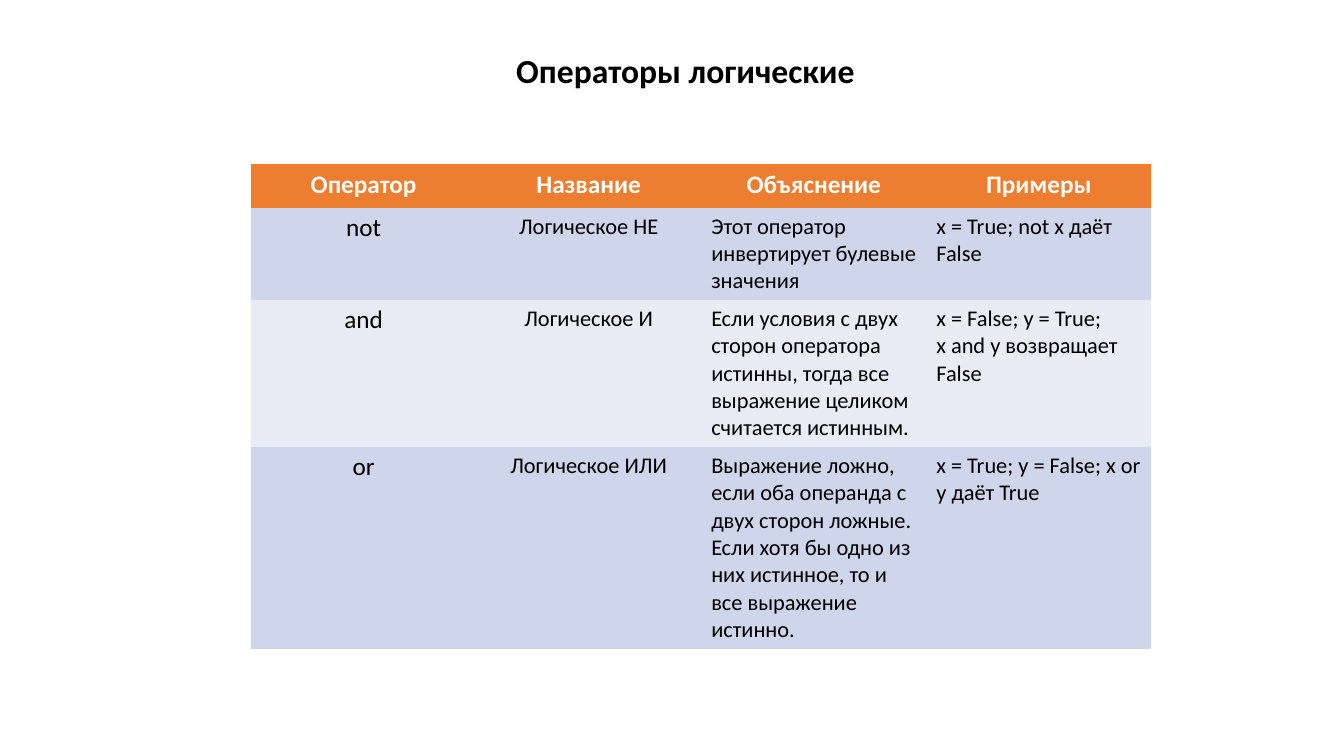
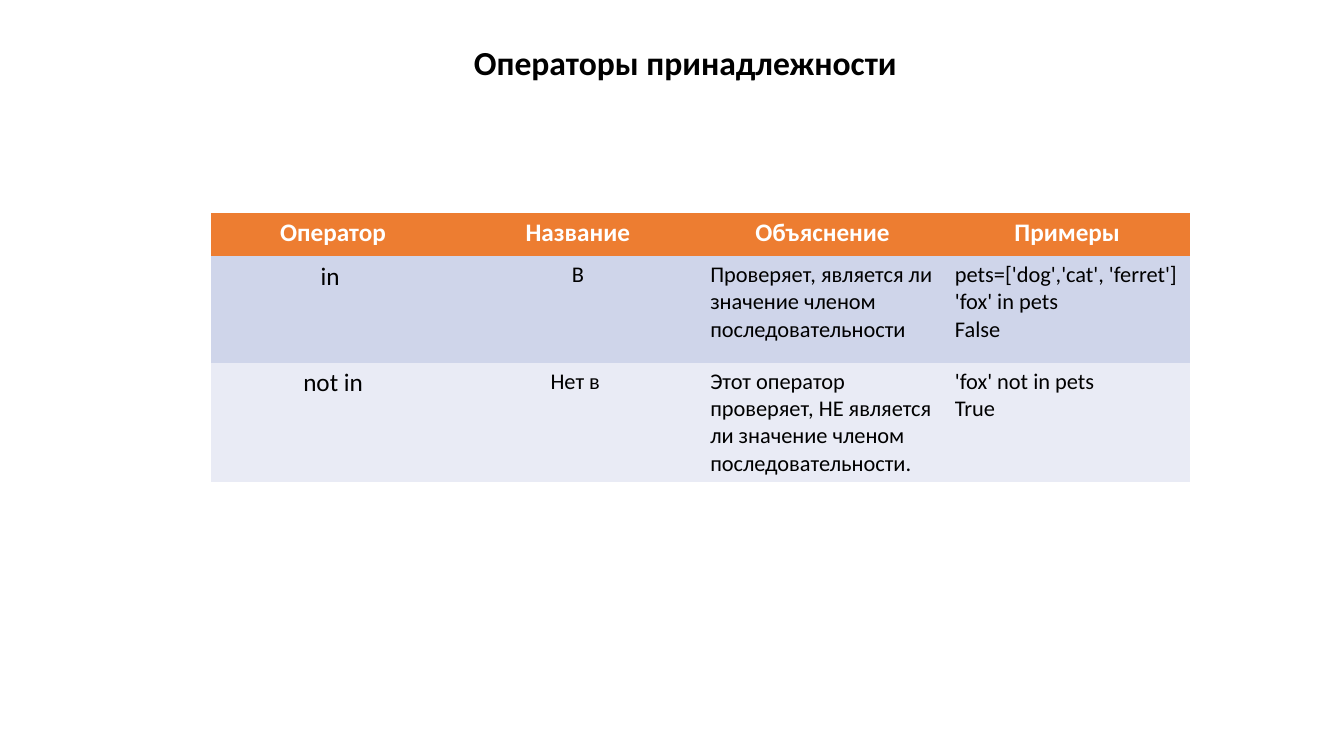
"""Builds two slides with tables of logical and membership operators."""
import pptx
import pptx.dml.color
import pptx.enum.text
import pptx.oxml.ns
import pptx.util

BLACK = pptx.dml.color.RGBColor(0x00, 0x00, 0x00)
WHITE = pptx.dml.color.RGBColor(0xFF, 0xFF, 0xFF)
ORANGE = pptx.dml.color.RGBColor(0xED, 0x7D, 0x31)
BANDS = (pptx.dml.color.RGBColor(0xCF, 0xD5, 0xEA),
         pptx.dml.color.RGBColor(0xE9, 0xEB, 0xF5))
FONT = "Calibri"
PLAIN = "{2D5ABB26-0587-4C30-8999-92F81FD0307C}"
LEFT = pptx.enum.text.PP_ALIGN.LEFT
CENTER = pptx.enum.text.PP_ALIGN.CENTER
HEADS = ("Оператор", "Название", "Объяснение", "Примеры")

LOGIC = (
    ("not", "Логическое НЕ", "Этот оператор инвертирует булевые значения",
     "x = True; not x даёт False"),
    ("and", "Логическое И",
     "Если условия с двух сторон оператора истинны, тогда все выражение "
     "целиком считается истинным.",
     "x = False; y = True;\nx and y возвращает False"),
    ("or", "Логическое ИЛИ",
     "Выражение ложно, если оба операнда с двух сторон ложные. Если хотя бы "
     "одно из них истинное, то и все выражение истинно.",
     "x = True; y = False; x or y даёт True"),
)
MEMBER = (
    ("in ", "В", "Проверяет, является ли значение членом последовательности",
     "pets=['dog','cat', 'ferret']\n'fox' in pets\nFalse"),
    ("not in", "Нет в ",
     "Этот оператор проверяет, НЕ является ли значение членом "
     "последовательности.",
     "'fox' not in pets\nTrue"),
)


def write(frame, text, size=16, color=BLACK, bold=False, align=LEFT):
    for index, line in enumerate(text.splitlines()):
        para = frame.add_paragraph() if index else frame.paragraphs[0]
        para.alignment = align
        run = para.add_run()
        run.text = line
        run.font.name = FONT
        run.font.size = pptx.util.Pt(size)
        run.font.bold = bold
        run.font.color.rgb = color


class Deck:
    def __init__(self):
        self.show = pptx.Presentation()
        self.show.slide_width = pptx.util.Inches(13.33)
        self.show.slide_height = pptx.util.Inches(7.5)
        self.slide = None

    def page(self):
        self.slide = self.show.slides.add_slide(self.show.slide_layouts[5])

    def title(self, text, left, top, width):
        shape = self.slide.shapes.title
        shape.left, shape.top = pptx.util.Inches(left), pptx.util.Inches(top)
        shape.width, shape.height = pptx.util.Inches(width), pptx.util.Inches(0.5)
        frame = shape.text_frame
        frame.word_wrap = True
        frame.auto_size = pptx.enum.text.MSO_AUTO_SIZE.NONE
        frame.vertical_anchor = pptx.enum.text.MSO_ANCHOR.TOP
        write(frame, text, size=24, bold=True)

    def table(self, rows, left, top, width, heights):
        shape = self.slide.shapes.add_table(
            len(rows) + 1, len(HEADS), pptx.util.Inches(left),
            pptx.util.Inches(top), pptx.util.Inches(width),
            pptx.util.Inches(sum(heights)))
        grid = shape.table
        grid._tbl.tblPr.find(pptx.oxml.ns.qn("a:tableStyleId")).text = PLAIN
        for row, height in zip(grid.rows, heights):
            row.height = pptx.util.Inches(height)
        for col, head in enumerate(HEADS):
            self.cell(grid.cell(0, col), head, ORANGE, size=18, color=WHITE,
                      bold=True, align=CENTER)
        for index, row in enumerate(rows):
            for col, text in enumerate(row):
                self.cell(grid.cell(index + 1, col), text, BANDS[index % 2],
                          size=16 if col else 18,
                          align=CENTER if col < 2 else LEFT)

    def cell(self, cell, text, fill, **style):
        cell.fill.solid()
        cell.fill.fore_color.rgb = fill
        write(cell.text_frame, text, **style)


def main():
    deck = Deck()
    deck.page()
    deck.title("Операторы логические", 5.02, 0.44, 3.95)
    deck.table(LOGIC, 2.49, 1.63, 8.93, (0.43, 0.9, 1.43, 1.96))
    deck.page()
    deck.title("Операторы принадлежности", 4.6, 0.37, 4.41)
    deck.table(MEMBER, 2.09, 2.11, 9.71, (0.43, 1.06, 1.17))
    deck.show.save("out.pptx")


if __name__ == "__main__":
    main()
